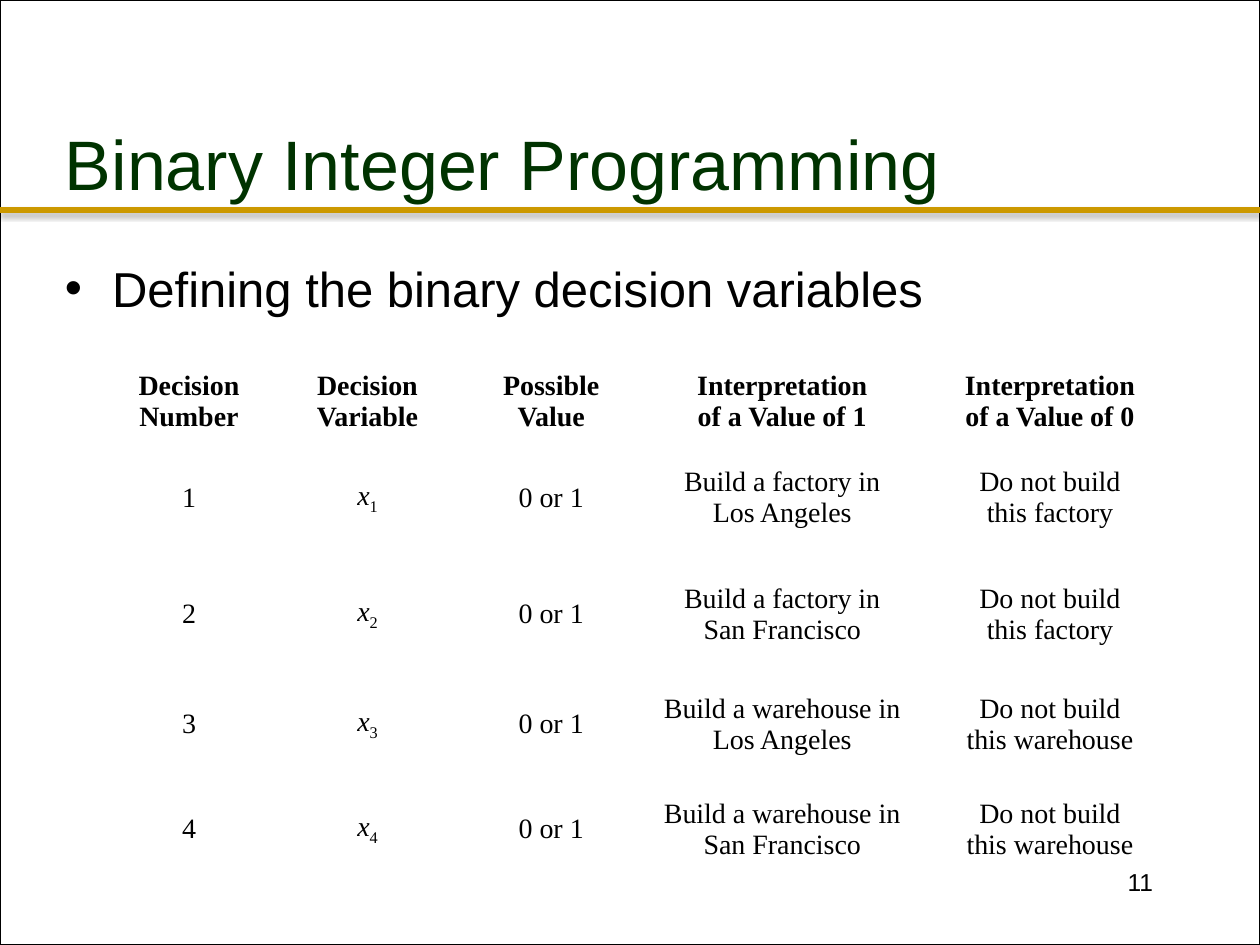
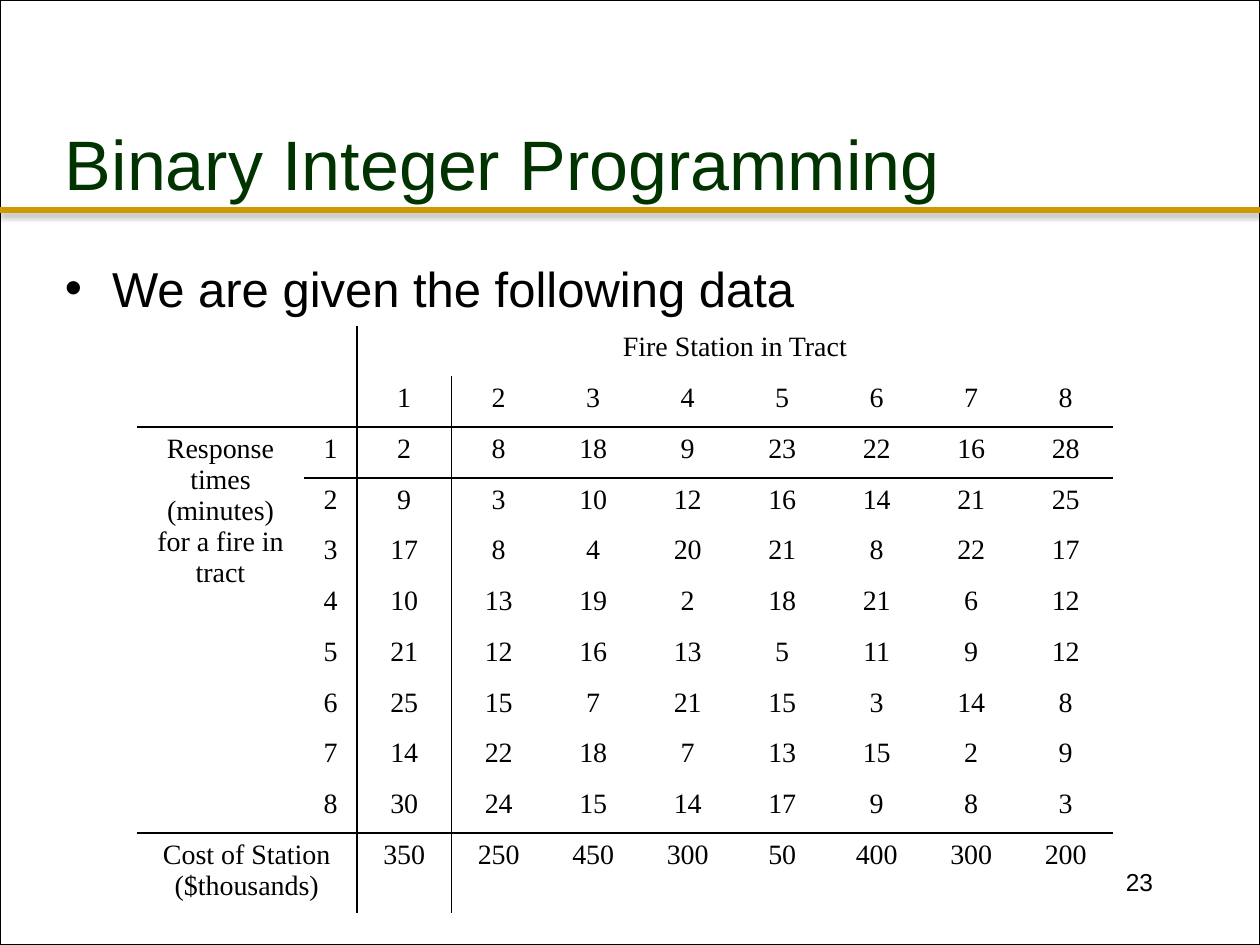
"""Two slides on binary integer programming, each with a table."""
from dataclasses import dataclass

import lxml.etree
import pptx
import pptx.dml.color
import pptx.enum.shapes
import pptx.enum.text
import pptx.oxml.ns
import pptx.slide
import pptx.table
import pptx.text.text
import pptx.util

Pt = pptx.util.Pt
qn = pptx.oxml.ns.qn
ALIGN = pptx.enum.text.PP_ALIGN
ANCHOR = pptx.enum.text.MSO_ANCHOR

COLOURS = {"paper": "FFFFFF", "ink": "000000", "title": "003300", "rule": "CC9900"}
SANS, SERIF = "Arial", "Times New Roman"
WIDTH, HEIGHT = 720, 540
RULE_TOP = 120
NO_TABLE_STYLE = "{2D5ABB26-0587-4C30-8999-92F81FD0307C}"


@dataclass(frozen=True)
class Style:
    """Font settings of a piece of text."""
    size: float
    font: str
    colour: str = "ink"


@dataclass(frozen=True)
class Span:
    """A stretch of text with one look; a newline is a line break."""
    text: str
    bold: bool = False
    italic: bool = False
    subscript: bool = False


@dataclass(frozen=True)
class Box:
    """A rectangle in points."""
    left: float
    top: float
    width: float
    height: float

    def lengths(self) -> list[pptx.util.Length]:
        """Return the four measures as lengths."""
        return [Pt(value) for value in (self.left, self.top, self.width, self.height)]


@dataclass(frozen=True)
class Grid:
    """Place and track sizes of a table, in points."""
    left: float
    top: float
    columns: list[float]
    rows: list[float]


TITLE = Style(40, SANS, "title")
BODY = Style(28, SANS)
NUMBER = Style(14, SANS)
CELL = Style(16, SERIF)

TITLE_BOX = Box(30, 48, 660, 90)
BODY_BOX = Box(30, 144, 660, 336)
NUMBER_BOX = Box(516, 492, 150, 36)


def colour(name: str) -> pptx.dml.color.RGBColor:
    """Look up a colour by name."""
    return pptx.dml.color.RGBColor.from_string(COLOURS[name])


def add_node(parent: lxml.etree._Element, tag: str, **attributes: object) -> lxml.etree._Element:
    """Append a drawing element with the given attributes."""
    values = {key: str(value) for key, value in attributes.items()}
    return lxml.etree.SubElement(parent, qn(tag), values)


def add_span(para: pptx.text.text._Paragraph, span: Span, style: Style) -> None:
    """Add one span, run by run, with line breaks between its lines."""
    for index, line in enumerate(span.text.split("\n")):
        if index:
            para.add_line_break()
        run = para.add_run()
        run.text = line
        run.font.size = Pt(style.size)
        run.font.name = style.font
        run.font.bold = span.bold
        run.font.italic = span.italic
        run.font.color.rgb = colour(style.colour)
        if span.subscript:
            run.font._element.set("baseline", "-25000")


def space_before(para: pptx.text.text._Paragraph, percent: int) -> None:
    """Set the space above a paragraph as a share of its line."""
    spacing = add_node(para._p.get_or_add_pPr(), "a:spcBef")
    add_node(spacing, "a:spcPct", val=percent * 1000)


def add_text(page: pptx.slide.Slide, box: Box, text: str, style: Style,
             align: ALIGN = ALIGN.LEFT, anchor: ANCHOR = ANCHOR.TOP) -> pptx.text.text._Paragraph:
    """Add a wrapping text box with one paragraph and return the paragraph."""
    frame = page.shapes.add_textbox(*box.lengths()).text_frame
    frame.word_wrap = True
    frame.vertical_anchor = anchor
    para = frame.paragraphs[0]
    para.alignment = align
    add_span(para, Span(text), style)
    return para


def add_rule(page: pptx.slide.Slide) -> None:
    """Draw the gold line with its soft shadow below the title."""
    rule = page.shapes.add_connector(pptx.enum.shapes.MSO_CONNECTOR.STRAIGHT,
                                     Pt(0), Pt(RULE_TOP), Pt(WIDTH), Pt(RULE_TOP))
    rule.line.color.rgb = colour("rule")
    rule.line.width = Pt(3)
    effects = add_node(rule._element.spPr, "a:effectLst")
    shadow = add_node(effects, "a:outerShdw", blurRad=Pt(3.1), dist=Pt(1.8),
                      dir=90 * 60000, rotWithShape=0)
    shade = add_node(shadow, "a:srgbClr", val=COLOURS["ink"])
    add_node(shade, "a:alpha", val=35000)


def add_page(deck: pptx.presentation.Presentation, bullet: str, number: int) -> pptx.slide.Slide:
    """Add a slide with frame, rule, title, one bullet and page number."""
    page = deck.slides.add_slide(deck.slide_layouts[6])
    border = page.shapes.add_shape(pptx.enum.shapes.MSO_SHAPE.RECTANGLE,
                                   *Box(0, 0, WIDTH, HEIGHT).lengths())
    border.shadow.inherit = False
    border.fill.solid()
    border.fill.fore_color.rgb = colour("paper")
    border.line.color.rgb = colour("ink")
    border.line.width = Pt(0.75)
    add_rule(page)
    add_text(page, TITLE_BOX, "Binary Integer Programming", TITLE, anchor=ANCHOR.MIDDLE)
    para = add_text(page, BODY_BOX, bullet, BODY)
    space_before(para, 20)
    properties = para._p.get_or_add_pPr()
    properties.set("marL", str(Pt(27)))
    properties.set("indent", str(-Pt(27)))
    add_node(properties, "a:buFont", typeface=SANS)
    add_node(properties, "a:buChar", char="•")
    add_text(page, NUMBER_BOX, str(number), NUMBER, ALIGN.RIGHT)
    return page


def add_grid(page: pptx.slide.Slide, grid: Grid) -> pptx.table.Table:
    """Add an unstyled table with the given track sizes."""
    box = Box(grid.left, grid.top, sum(grid.columns), sum(grid.rows))
    frame = page.shapes.add_table(len(grid.rows), len(grid.columns), *box.lengths())
    table = frame.table
    table.first_row = table.horz_banding = False
    for style in frame._element.iter(qn("a:tableStyleId")):
        style.text = NO_TABLE_STYLE
    for column, width in zip(table.columns, grid.columns):
        column.width = Pt(width)
    for row, height in zip(table.rows, grid.rows):
        row.height = Pt(height)
    return table


def fill_cell(cell: pptx.table._Cell, spans: list[Span], anchor: ANCHOR = ANCHOR.TOP) -> None:
    """Write centred spans into a cell without a fill."""
    cell.fill.background()
    cell.vertical_anchor = anchor
    para = cell.text_frame.paragraphs[0]
    para.alignment = ALIGN.CENTER
    space_before(para, 100)
    for span in spans:
        add_span(para, span, CELL)
    if not spans:
        add_node(para._p, "a:endParaRPr", sz=CELL.size * 100)


def rule_table(table: pptx.table.Table, row_rules: set[int], column_rules: set[int]) -> None:
    """Draw 1 pt lines above the given rows and left of the given columns."""
    for top, row in enumerate(table.rows):
        for left, cell in enumerate(row.cells):
            if cell.is_spanned:
                continue
            edges = {"a:lnL": left in column_rules,
                     "a:lnR": left + cell.span_width in column_rules,
                     "a:lnT": top in row_rules,
                     "a:lnB": top + cell.span_height in row_rules}
            properties = cell._tc.get_or_add_tcPr()
            tags = [tag for tag, ruled in edges.items() if ruled]
            for index, tag in enumerate(tags):
                line = add_node(properties, tag, w=Pt(1))
                fill = add_node(line, "a:solidFill")
                add_node(fill, "a:srgbClr", val=COLOURS["ink"])
                properties.insert(index, line)


def add_decisions(page: pptx.slide.Slide) -> None:
    """Add the table that defines the four decision variables."""
    headings = ["Decision\nNumber", "Decision\nVariable", "Possible\nValue",
                "Interpretation\nof a Value of 1", "Interpretation\nof a Value of 0"]
    choices = [("factory", "Los Angeles"), ("factory", "San Francisco"),
               ("warehouse", "Los Angeles"), ("warehouse", "San Francisco")]
    table = add_grid(page, Grid(60, 174, [96, 108, 102, 162, 144], [77, 67, 66, 60, 60]))
    for column, heading in enumerate(headings):
        fill_cell(table.cell(0, column), [Span(heading, bold=True)], ANCHOR.BOTTOM)
    for number, (building, city) in enumerate(choices, start=1):
        contents = [[Span(str(number))],
                    [Span("x", italic=True), Span(str(number), subscript=True)],
                    [Span("0 or 1")],
                    [Span(f"Build a {building} in\n{city}")],
                    [Span(f"Do not build\nthis {building}")]]
        for column, spans in enumerate(contents):
            fill_cell(table.cell(number, column), spans, ANCHOR.MIDDLE)


def add_response_times(page: pptx.slide.Slide) -> None:
    """Add the table of response times and station costs."""
    times = [[2, 8, 18, 9, 23, 22, 16, 28],
             [9, 3, 10, 12, 16, 14, 21, 25],
             [17, 8, 4, 20, 21, 8, 22, 17],
             [10, 13, 19, 2, 18, 21, 6, 12],
             [21, 12, 16, 13, 5, 11, 9, 12],
             [25, 15, 7, 21, 15, 3, 14, 8],
             [14, 22, 18, 7, 13, 15, 2, 9],
             [30, 24, 15, 14, 17, 9, 8, 3]]
    costs = [350, 250, 450, 300, 50, 400, 300, 200]
    tracts = list(range(1, 9))
    rows = [["", "", "Fire Station in Tract"] + [""] * 7, ["", "", *tracts]]
    rows += [["", tract, *values] for tract, values in zip(tracts, times)]
    rows.append(["Cost of Station\n($thousands)", "", *costs])
    rows[2][0] = "Response times (minutes) for a fire in tract"

    table = add_grid(page, Grid(78, 186, [96, 30] + [54] * 8, [29] * 10 + [46]))
    table.cell(0, 2).merge(table.cell(0, 9))
    table.cell(2, 0).merge(table.cell(9, 0))
    table.cell(10, 0).merge(table.cell(10, 1))
    for row, values in zip(table.rows, rows):
        for cell, value in zip(row.cells, values):
            fill_cell(cell, [Span(str(value))] if value != "" else [])
    rule_table(table, row_rules={2, 10}, column_rules={2})


def main() -> None:
    """Build and save the deck."""
    deck = pptx.Presentation()
    deck.slide_width, deck.slide_height = Pt(WIDTH), Pt(HEIGHT)
    add_decisions(add_page(deck, "Defining the binary decision variables", 11))
    add_response_times(add_page(deck, "We are given the following data", 23))
    deck.save("out.pptx")


main()
